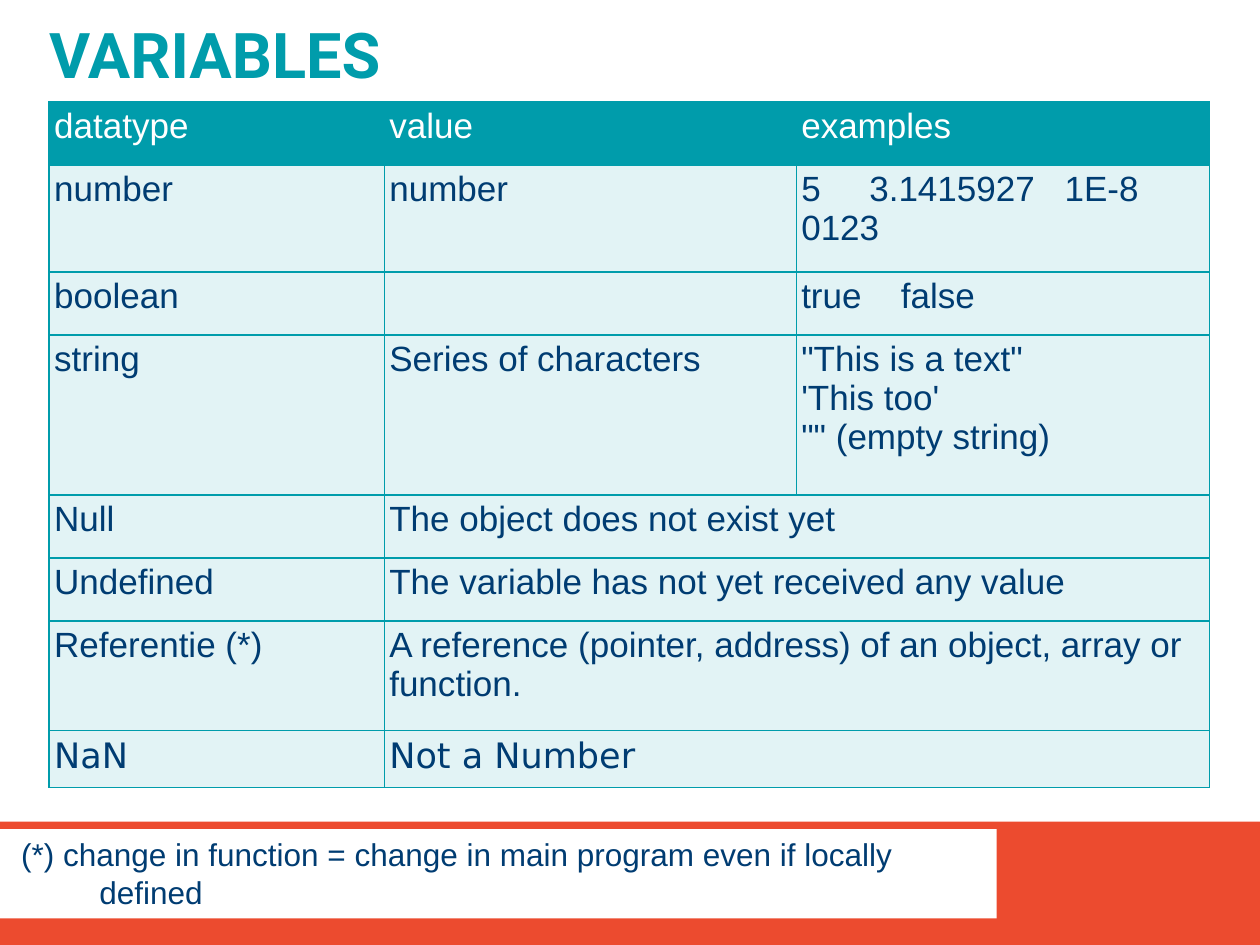
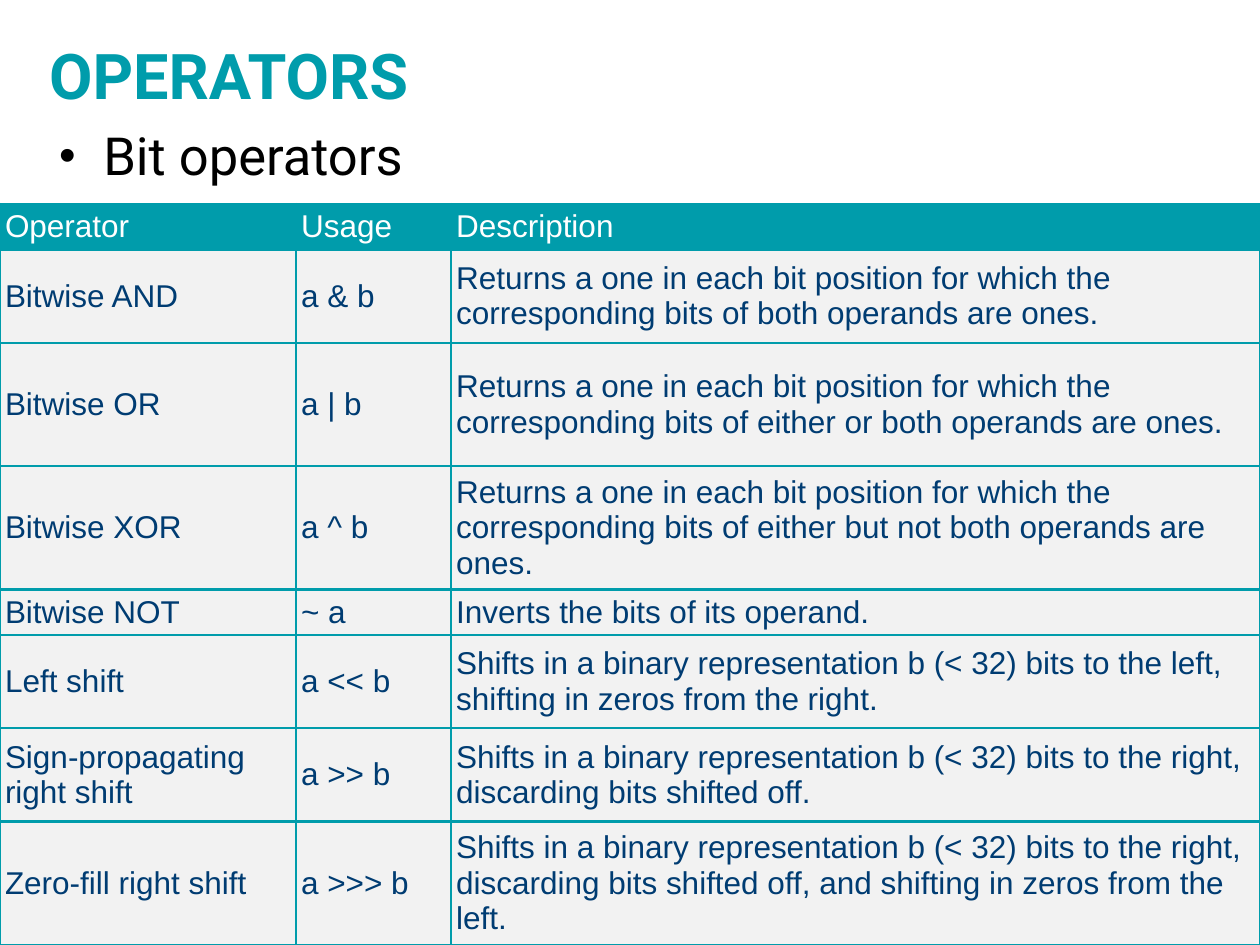
from pptx import Presentation
from pptx.dml.color import RGBColor
from pptx.enum.shapes import MSO_SHAPE as Kind
from pptx.enum.text import MSO_ANCHOR as Anchor, PP_ALIGN as Align
from pptx.oxml.ns import qn
from pptx.util import Inches, Pt
from lxml.etree import SubElement as Sub

TEAL, NAVY, RED = "009CAB", "003C72", "EC4B2F"
WHITE, BLACK, GREY, AQUA = "FFFFFF", "000000", "F2F2F2", "6FC3CE"

TYPES = [
    ("datatype", "value", "examples"),
    ("number", "number", "5\t3.1415927\t1E-8 0123"),
    ("boolean", "", "true\tfalse"),
    ("string", "Series of characters",
     "\"This is a text\"\n'This too'\n\"\" (empty string)"),
    ("Null", "The object does not exist yet"),
    ("Undefined", "The variable has not yet received any value"),
    ("Referentie (*)",
     "A reference (pointer, address) of an object, array or function."),
    ("NaN", "Not a Number"),
]
STOPS = {1: (0.54, 2.09), 2: (0.79,)}
NOTE = "(*) change in function = change in main program even if locally defined"

BITS = [
    ("Operator", "Usage", "Description"),
    ("Bitwise AND", "a & b",
     "Returns a one in each bit position for which the corresponding bits "
     "of both operands are ones."),
    ("Bitwise OR", "a | b",
     "Returns a one in each bit position for which the corresponding bits "
     "of either or both operands are ones."),
    ("Bitwise XOR", "a ^ b",
     "Returns a one in each bit position for which the corresponding bits "
     "of either but not both operands are ones."),
    ("Bitwise NOT", "~ a", "Inverts the bits of its operand."),
    ("Left shift", "a << b",
     "Shifts in a binary representation b (< 32) bits to the left, "
     "shifting in zeros from the right."),
    ("Sign-propagating right shift", "a >> b",
     "Shifts in a binary representation b (< 32) bits to the right, "
     "discarding bits shifted off."),
    ("Zero-fill right shift", "a >>> b",
     "Shifts in a binary representation b (< 32) bits to the right, "
     "discarding bits shifted off, and shifting in zeros from the left."),
]


def rgb(code):
    return RGBColor.from_string(code)


def style(frame, size, color, font="Arial", bold=False):
    for para in frame.paragraphs:
        for run in para.runs:
            run.font.size, run.font.name = Pt(size), font
            run.font.bold, run.font.color.rgb = bold, rgb(color)


def inset(item, left, top, right, low):
    item.margin_left, item.margin_top = Inches(left), Inches(top)
    item.margin_right, item.margin_bottom = Inches(right), Inches(low)


def rect(slide, color, *box):
    shape = slide.shapes.add_shape(Kind.RECTANGLE, *map(Inches, box))
    shape.shadow.inherit = False
    shape.fill.solid()
    shape.fill.fore_color.rgb = rgb(color)
    shape.line.fill.background()
    return shape


def label(slide, text, box, pad):
    frame = slide.shapes.add_textbox(*map(Inches, box)).text_frame
    frame.word_wrap = True
    inset(frame, *pad)
    frame.text = text
    return frame


def title(slide, text, wide, high):
    frame = label(slide, text, (0, 0, wide, high), (0.39, 0.2, 0.39, 0.16))
    frame.vertical_anchor = Anchor.MIDDLE
    frame.paragraphs[0].line_spacing = 0.8
    style(frame, 36, TEAL, "Roboto", True)


def hang(para, left):
    prop = para._p.get_or_add_pPr()
    prop.set("marL", str(Inches(left[0])))
    prop.set("indent", str(Inches(left[1])))
    return prop


def edge(cell, width):
    prop = cell._tc.get_or_add_tcPr()
    for side in "LRTB":
        line = Sub(prop, qn("a:ln" + side), w=str(Pt(width)))
        Sub(Sub(line, qn("a:solidFill")), qn("a:srgbClr"), val=TEAL)


def paint(cell, color, alpha=None):
    cell.fill.solid()
    cell.fill.fore_color.rgb = rgb(color)
    if alpha:
        tint = cell._tc.tcPr.find(qn("a:solidFill")).find(qn("a:srgbClr"))
        Sub(tint, qn("a:alpha"), val=str(alpha * 1000))


def grid(slide, data, spot, cols, rows, size, line, pad, anchor, body, alpha=None):
    box = (*spot, sum(cols), sum(rows))
    table = slide.shapes.add_table(len(rows), len(cols), *map(Inches, box)).table
    table.horz_banding = False
    for col, wide in zip(table.columns, cols):
        col.width = Inches(wide)
    for r, (high, texts) in enumerate(zip(rows, data)):
        table.rows[r].height = Inches(high)
        for c in range(len(cols)):
            cell = table.cell(r, c)
            edge(cell, line)
            inset(cell, 0.04, pad, 0.04, pad)
            cell.vertical_anchor = anchor
            if r:
                paint(cell, body, alpha)
            else:
                paint(cell, TEAL)
            if c < len(texts):
                cell.text_frame.text = texts[c]
                font = "DejaVu Sans" if texts[0] == "NaN" else "Arial"
                style(cell.text_frame, size, NAVY if r else WHITE, font)
        if len(texts) < len(cols):
            table.cell(r, len(texts) - 1).merge(table.cell(r, len(cols) - 1))
    return table


def start(deck):
    slide = deck.slides.add_slide(deck.slide_layouts[6])
    rect(slide, RED, 0, 6.52, 10, 0.98)
    rect(slide, WHITE, 0, 6.65, 2.17, 0.47)
    return slide


def types(deck):
    slide = start(deck)
    table = grid(slide, TYPES, (0.39, 0.81), (2.66, 3.27, 3.28),
                 (0.5, 0.85, 0.5, 1.27, 0.5, 0.5, 0.87, 0.45),
                 20, 1, 0.04, Anchor.TOP, AQUA, 20)
    for row, stops in STOPS.items():
        para = table.cell(row, 2).text_frame.paragraphs[0]
        tabs = Sub(para._p.get_or_add_pPr(), qn("a:tabLst"))
        for stop in stops:
            Sub(tabs, qn("a:tab"), pos=str(Inches(stop)), algn="l")
    frame = rect(slide, WHITE, 0, 6.58, 7.91, 0.71).text_frame
    frame.word_wrap = True
    frame.vertical_anchor = Anchor.TOP
    frame.text = NOTE
    frame.paragraphs[0].alignment = Align.LEFT
    hang(frame.paragraphs[0], (0.69, -0.62))
    style(frame, 18, NAVY)
    title(slide, "VARIABLES", 9, 0.92)


def bits(deck):
    slide = start(deck)
    frame = label(slide, "Bit operators", (0, 0.75, 9.76, 4.95),
                  (0.47, 0.28, 0.47, 0.16))
    para = frame.paragraphs[0]
    para.line_spacing = 0.9
    para.space_before = para.space_after = Pt(4)
    prop = hang(para, (0.35, -0.35))
    Sub(prop, qn("a:buSzPct"), val="90000")
    Sub(prop, qn("a:buFont"), typeface="Arial")
    Sub(prop, qn("a:buChar"), char="•")
    style(frame, 30, BLACK, "Roboto")
    grid(slide, BITS, (0, 1.62), (2.35, 1.23, 6.42),
         (0.36, 0.74, 0.98, 0.98, 0.36, 0.74, 0.74, 0.98),
         18, 1.5, 0.02, Anchor.MIDDLE, GREY)
    title(slide, "OPERATORS", 10, 1.25)


def main():
    deck = Presentation()
    deck.slide_width, deck.slide_height = Inches(10), Inches(7.5)
    types(deck)
    bits(deck)
    deck.save("out.pptx")


if __name__ == "__main__":
    main()
